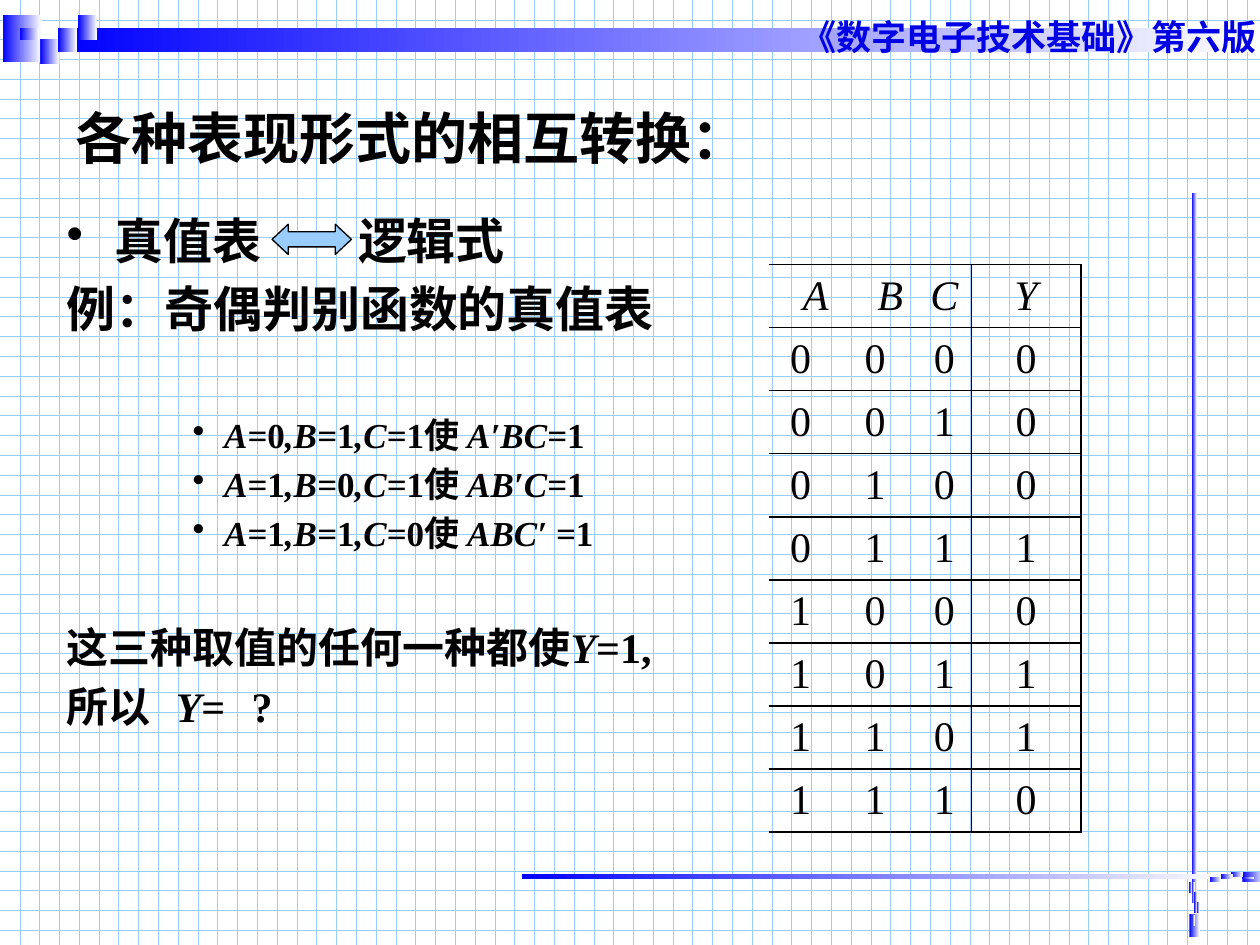
from lxml import etree
from pptx import Presentation
from pptx.dml.color import RGBColor
from pptx.enum.dml import MSO_PATTERN
from pptx.enum.shapes import MSO_SHAPE
from pptx.enum.text import MSO_ANCHOR, PP_ALIGN
from pptx.oxml import parse_xml
from pptx.oxml.ns import nsdecls, qn
from pptx.util import Inches, Pt

RECT, ARROW = MSO_SHAPE.RECTANGLE, MSO_SHAPE.LEFT_RIGHT_ARROW
DOT_GRID = MSO_PATTERN.DOTTED_GRID
MIDDLE, CENTER = MSO_ANCHOR.MIDDLE, PP_ALIGN.CENTER
BLACK = RGBColor(0x00, 0x00, 0x00)
WHITE = RGBColor(0xFF, 0xFF, 0xFF)
BLUE = RGBColor(0x00, 0x00, 0xFF)
HEADER_BLUE = RGBColor(0x00, 0x00, 0xE5)
LIGHT_BLUE = RGBColor(0x99, 0xCC, 0xFF)
SERIF = "Times New Roman"
NO_STYLE = "{2D5ABB26-0587-4C30-8999-92F81FD0307C}"

prs = Presentation()
prs.slide_width, prs.slide_height = Inches(10), Inches(7.5)
s = prs.slides.add_slide(prs.slide_layouts[6])

# Grid background
bg = s.background.fill
bg.patterned()
bg.pattern = DOT_GRID
bg.fore_color.rgb, bg.back_color.rgb = LIGHT_BLUE, WHITE


def style(r, size, color=BLACK, name=SERIF, bold=True, italic=False):
    r.font.size, r.font.name = Pt(size), name
    r.font.bold, r.font.italic = bold, italic
    r.font.color.rgb = color


def text_box(left, top, width, height):
    tf = s.shapes.add_textbox(Inches(left), Inches(top),
                              Inches(width), Inches(height)).text_frame
    tf.word_wrap = True
    return tf


# Gradient bars and small blocks: left, top, width, height
header_blocks = [(0.02, 0.12, 0.31, 0.37), (0.47, 0.22, 9.53, 0.19)]
header_blocks += [(x, y, 0.15, 0.1) for x, y in [
    (0.46, 0.22), (0.62, 0.12), (0.62, 0.22), (0.32, 0.31),
    (0.16, 0.22), (0.46, 0.31), (0.32, 0.41)]]
right_blocks = [(9.44, 7.25, 0.08, 0.19), (9.46, 1.53, 0.04, 5.64)]
right_blocks += [(x, y, 0.02, 0.09) for x, y in [
    (9.46, 7.08), (9.44, 7), (9.46, 7), (9.48, 7.16),
    (9.46, 7.26), (9.48, 7.08), (9.5, 7.16)]]
bottom_blocks = [(9.86, 6.92, 0.18, 0.08), (4.14, 6.94, 5.64, 0.04)]
bottom_blocks += [(x, y, 0.09, 0.02) for x, y in [
    (9.69, 6.96), (9.6, 6.98), (9.6, 6.96), (9.77, 6.94),
    (9.86, 6.96), (9.69, 6.94), (9.77, 6.92)]]
for block in header_blocks + right_blocks + bottom_blocks:
    sp = s.shapes.add_shape(RECT, *[Inches(v) for v in block])
    sp.shadow.inherit = False
    sp.line.fill.background()
    sp.fill.gradient()
    sp.fill.gradient_angle = 0
    for stop, color in zip(sp.fill.gradient_stops, (BLUE, WHITE)):
        stop.color.rgb = color

# Book name and slide title
tf = text_box(6.26, 0.07, 4.06, 0.43)
tf.text = "《数字电子技术基础》第六版"
style(tf.paragraphs[0].runs[0], 20, HEADER_BLUE, "Arial")
tf = text_box(0.5, 0.6, 9, 0.97)
tf.vertical_anchor = MIDDLE
tf.text = "各种表现形式的相互转换："
style(tf.paragraphs[0].runs[0], 32)

# Body: text (* switches italics), size, space before, left indent, hanging, bullet, gap
body = [
    ("真值表* *逻辑式", 28, 0, 0.38, 0.38, True, 49),
    ("例：奇偶判别函数的真值表", 28, 5.6, 0.38, 0.38, False, 0),
    ("*A=*0*,B=*1*,C=*1使* A′BC=*1", 20, 43.5, 1.25, 0.25, True, 0),
    ("*A=*1*,B=*0*,C=*1使 *AB′C=*1", 20, 4, 1.25, 0.25, True, 0),
    ("*A=*1*,B=*1*,C=*0使* ABC′ =*1", 20, 4, 1.25, 0.25, True, 0),
    ("这三种取值的任何一种都使*Y*=1,", 24, 38.6, 0.38, 0.38, False, 0),
    ("所以* **Y*=* *?", 24, 4.8, 0.38, 0.38, False, 9),
]
tf = text_box(0.43, 1.62, 5.36, 4.57)
for i, (text, size, before, indent, hanging, bullet, gap) in enumerate(body):
    p = tf.add_paragraph() if i else tf.paragraphs[0]
    pPr = p._p.get_or_add_pPr()
    pPr.set("marL", str(Inches(indent)))
    pPr.set("indent", str(-Inches(hanging)))
    if bullet:
        etree.SubElement(pPr, qn("a:buChar")).set("char", "•")
    p.space_before = Pt(before)
    for n, part in enumerate(text.split("*")):
        if part:
            r = p.add_run()
            r.text = part
            style(r, size, italic=n % 2 == 1)
            if part == " ":  # a single space widened by character spacing
                r.font._element.set("spc", str(gap * 100))

# Double arrow between the two forms
sp = s.shapes.add_shape(ARROW, Inches(2.16), Inches(1.78), Inches(0.63), Inches(0.24))
sp.adjustments[0], sp.adjustments[1] = 0.5, 0.534
sp.shadow.inherit = False
sp.fill.solid()
sp.fill.fore_color.rgb = LIGHT_BLUE
sp.line.color.rgb, sp.line.width = BLACK, Pt(0.75)

# Truth table: Y is the listed value for each combination of A, B and C
rows = [list("ABCY")]
rows += [list(f"{n:03b}") + [y] for n, y in enumerate("00010110")]
widths = [0.51, 0.2, 0.43, 0.43, 0.87]
table = s.shapes.add_table(len(rows), len(widths), Inches(6.1), Inches(2.1),
                           Inches(2.44), Inches(4.23)).table
table.first_row = table.horz_banding = False
table._tbl.tblPr.find(qn("a:tableStyleId")).text = NO_STYLE
for col, width in zip(table.columns, widths):
    col.width = Inches(width)
for i, row in enumerate(rows):
    table.rows[i].height = Inches(0.47)
    # The narrow second column joins A in the header and B below
    first = 0 if i == 0 else 1
    table.cell(i, first).merge(table.cell(i, first + 1))
    columns = [0, 2, 3, 4] if i == 0 else [0, 1, 3, 4]
    for c, value in zip(columns, row):
        cell = table.cell(i, c)
        cell.text = value
        p = cell.text_frame.paragraphs[0]
        p.alignment = CENTER
        style(p.runs[0], 24, bold=False, italic=i == 0)
        cell.vertical_anchor = MIDDLE
    for c in range(len(widths)):
        cell = table.cell(i, c)
        cell.fill.background()
        sides = {3: ["R"], 4: ["L"]}.get(c, []) + ["T", "B"]
        for n, side in enumerate(sides):
            cell._tc.get_or_add_tcPr().insert(n, parse_xml(
                f'<a:ln{side} {nsdecls("a")} w="{Pt(1)}"><a:solidFill>'
                f'<a:srgbClr val="{BLACK}"/></a:solidFill></a:ln{side}>'))

prs.save("out.pptx")
